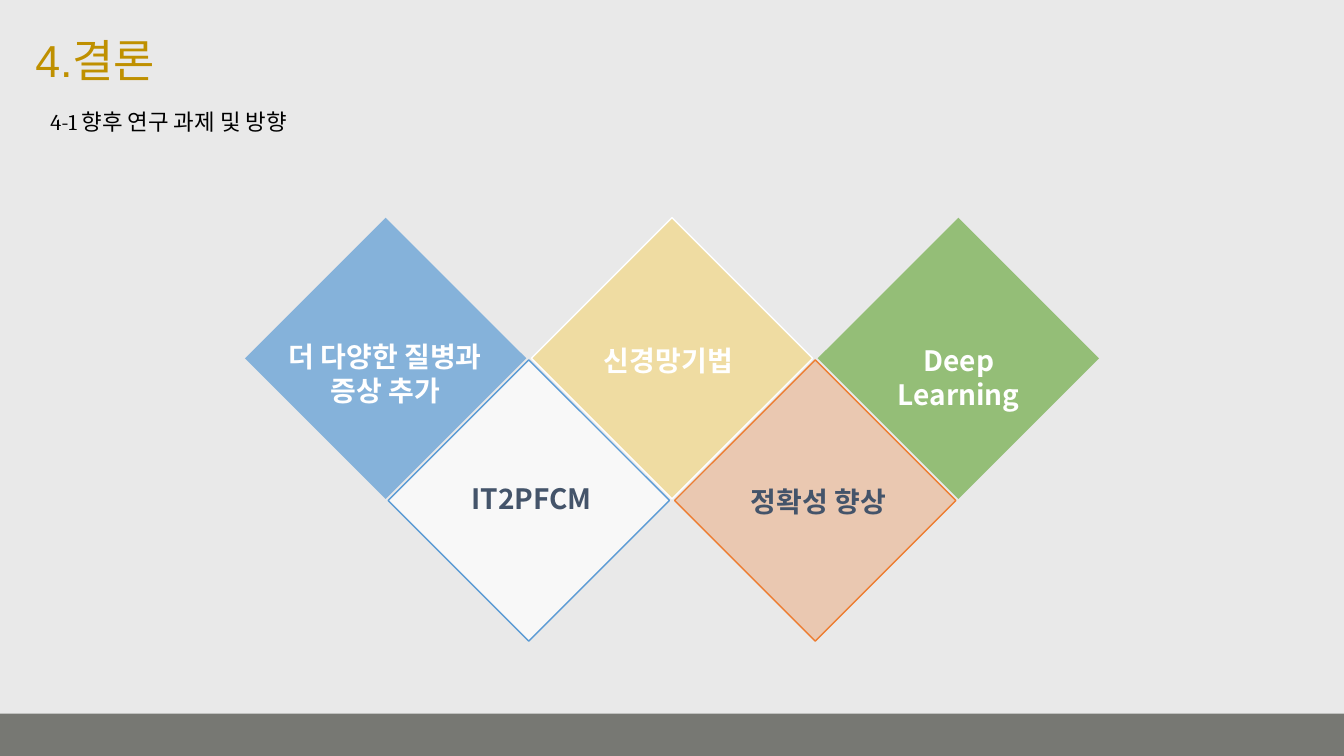
import pptx
import pptx.util
import pptx.dml.color
import pptx.enum.shapes
import pptx.enum.text
import pptx.oxml.ns
import lxml.etree

Inches, Pt = pptx.util.Inches, pptx.util.Pt
RGB = pptx.dml.color.RGBColor.from_string
qn = pptx.oxml.ns.qn
SHAPE = pptx.enum.shapes.MSO_SHAPE
ALIGN = pptx.enum.text.PP_ALIGN
ANCHOR = pptx.enum.text.MSO_ANCHOR

COLORS = {
    "background": "E9E9E9", "footer": "777873", "title": "BF9000",
    "black": "000000", "white": "FFFFFF", "navy": "44546A",
    "blue": "5B9BD5", "yellow": "FFC000", "orange": "ED7D31", "green": "70AD47",
}
KOREAN = "Noto Sans CJK KR"


def format_paragraph(p, text, color, align, **font):
    """Fill a paragraph with one run, using the Korean font for Hangul."""
    p.alignment = align
    r = p.add_run()
    r.text = text
    for name, value in font.items():
        setattr(r.font, name, value)
    r.font.color.rgb = RGB(COLORS[color])
    lxml.etree.SubElement(r.font._element, qn("a:ea"), typeface=KOREAN)


def add_filled_shape(kind, left, top, width, height, fill, opacity=100, line=None):
    sp = s.shapes.add_shape(kind, Inches(left), Inches(top), Inches(width), Inches(height))
    sp.shadow.inherit = False
    sp.fill.solid()
    sp.fill.fore_color.rgb = RGB(COLORS[fill])
    if opacity < 100:
        clr = sp._element.spPr.find(qn("a:solidFill"))[0]
        lxml.etree.SubElement(clr, qn("a:alpha"), val=str(opacity * 1000))
    if line:
        sp.line.color.rgb = RGB(COLORS[line])
        sp.line.width = Pt(1)
    else:
        sp.line.fill.background()


prs = pptx.Presentation()
prs.slide_width, prs.slide_height = Inches(13.33), Inches(7.5)
s = prs.slides.add_slide(prs.slide_layouts[1])
s.background.fill.solid()
s.background.fill.fore_color.rgb = RGB(COLORS["background"])

add_filled_shape(SHAPE.RECTANGLE, 0, 7.08, 13.33, 0.42, "footer")

# Title and subtitle
headings = [
    (s.shapes.title, (0.25, 0.2, 12.81, 0.85), ANCHOR.MIDDLE, 0,
     "4.결론", "title", {"size": Pt(32), "name": "Arial"}),
    (s.placeholders[1], (0.4, 1.05, 12.66, 0.57), ANCHOR.TOP, 10,
     "4-1 향후 연구 과제 및 방향", "black", {"size": Pt(16), "name": "Cambria"}),
]
for sp, box, anchor, space, text, color, font in headings:
    sp.left, sp.top, sp.width, sp.height = map(Inches, box)
    tf = sp.text_frame
    tf.vertical_anchor = anchor
    p = tf.paragraphs[0]
    p.line_spacing = 0.9
    p.space_before = Pt(space)
    format_paragraph(p, text, color, ALIGN.LEFT, **font)
    pPr = p._p.get_or_add_pPr()
    pPr.set("marL", "0")
    pPr.set("indent", "0")
    lxml.etree.SubElement(pPr, qn("a:buNone"))

# Zigzag of diamonds, left to right: fill, opacity, outline
SIDE, STEP = 2.79, 1.42
diamonds = [
    ("blue", 70, None),
    ("white", 70, "blue"),
    ("yellow", 30, "white"),
    ("orange", 30, "orange"),
    ("green", 70, None),
]
for i, (fill, opacity, line) in enumerate(diamonds):
    top = 3.57 if i % 2 else 2.16
    add_filled_shape(SHAPE.DIAMOND, 2.43 + i * STEP, top, SIDE, SIDE, fill, opacity, line)

# Labels: centre, top, width, wrap, colour, lines
labels = [
    (3.82, 3.32, 2.36, False, "white", ["더 다양한 질병과", "증상 추가"]),
    (5.24, 4.73, 1.48, False, "navy", [" IT2PFCM"]),
    (6.63, 3.36, 1.6, False, "white", ["신경망기법"]),
    (8.12, 4.76, 1.7, False, "navy", ["정확성 향상"]),
    (9.51, 3.36, 2.0, True, "white", ["Deep Learning"]),
]
for centre, top, width, wrap, color, lines in labels:
    height = 0.77 if len(lines) > 1 else 0.44
    sp = s.shapes.add_textbox(Inches(centre - width / 2), Inches(top), Inches(width), Inches(height))
    tf = sp.text_frame
    tf.word_wrap = wrap
    tf.auto_size = pptx.enum.text.MSO_AUTO_SIZE.SHAPE_TO_FIT_TEXT
    for i, text in enumerate(lines):
        p = tf.add_paragraph() if i else tf.paragraphs[0]
        format_paragraph(p, text, color, ALIGN.CENTER, size=Pt(20), name=KOREAN, bold=True)

prs.save("out.pptx")
